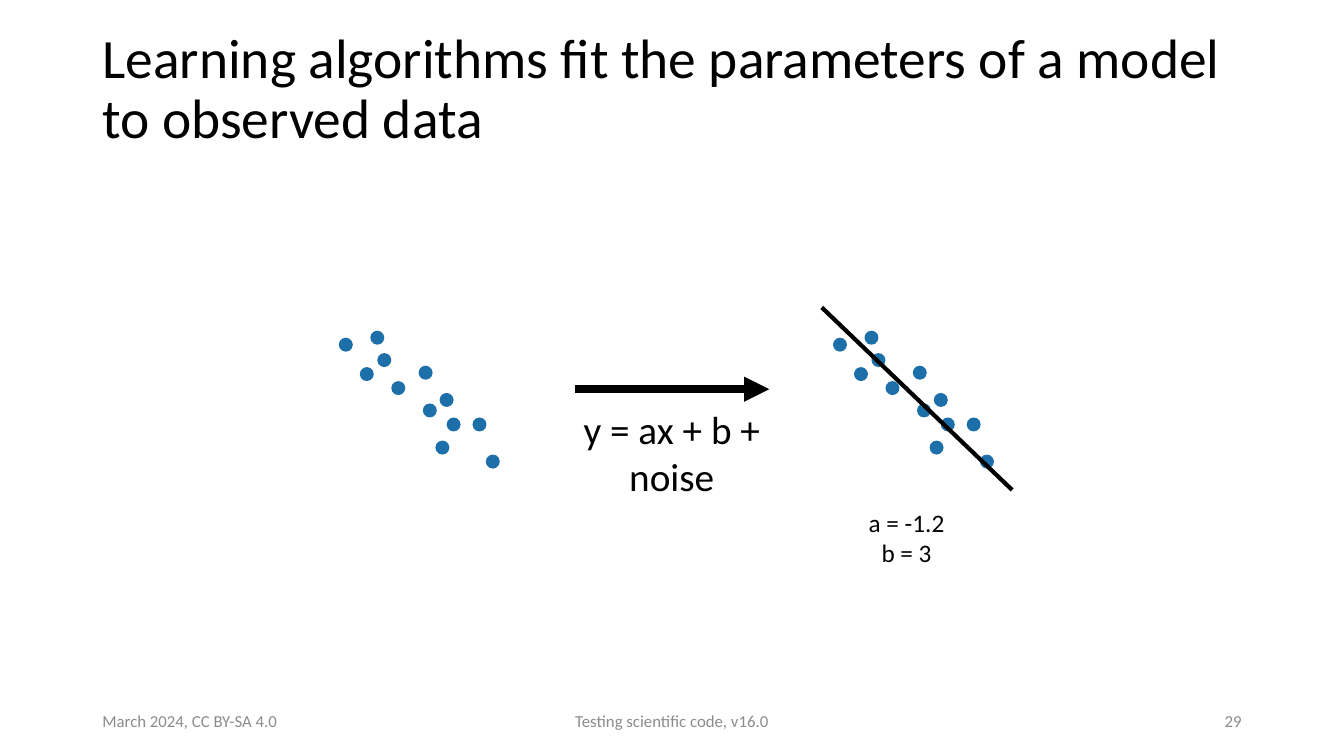
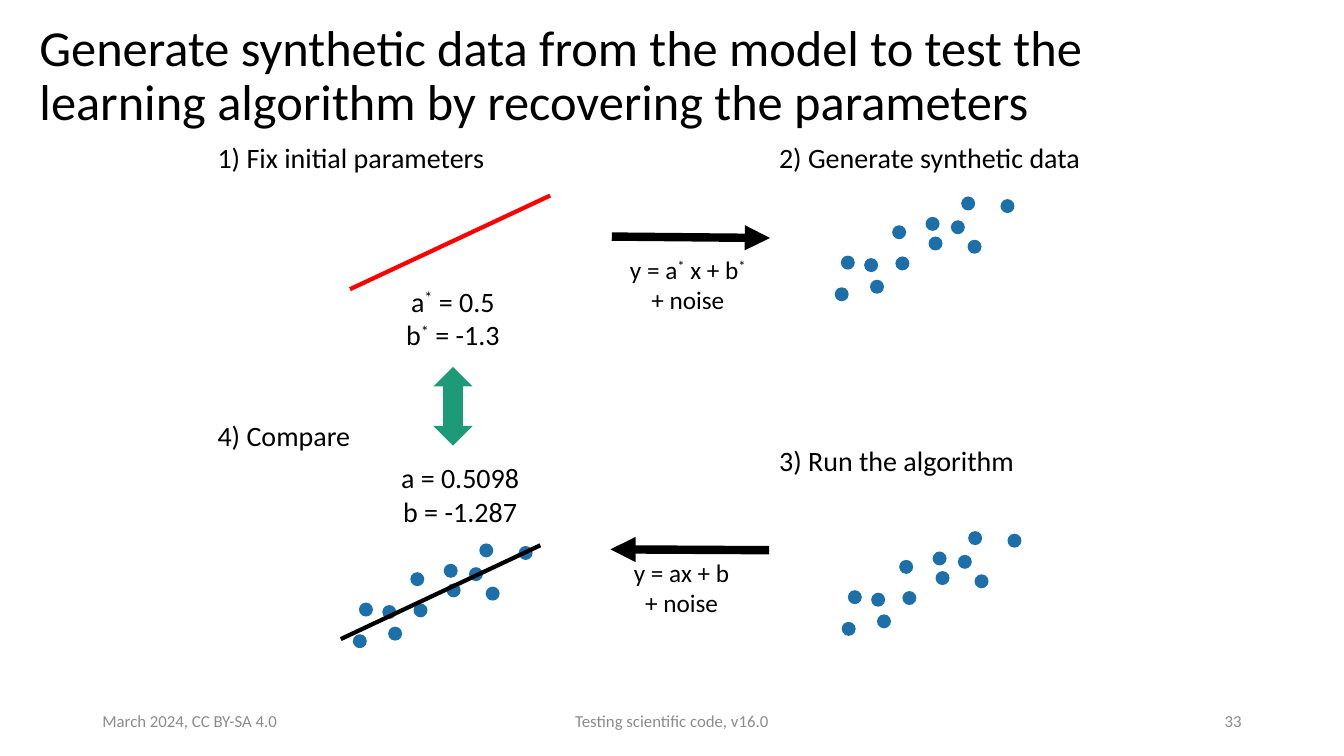
"""Build two slides on fitting a model and testing the fit with synthetic data."""
from math import cos, radians, sin

from lxml import etree
from pptx import Presentation
from pptx.dml.color import RGBColor
from pptx.enum import shapes, text
from pptx.oxml import ns
from pptx.util import Pt

BLACK, GREY, RED = "000000", "8C8C8C", "FF0000"
BLUE, GREEN = "1D6FA9", "1D9A78"
FONT = "Calibri"
LEFT, CENTER, RIGHT = text.PP_ALIGN.LEFT, text.PP_ALIGN.CENTER, text.PP_ALIGN.RIGHT
TOP, MIDDLE = text.MSO_ANCHOR.TOP, text.MSO_ANCHOR.MIDDLE

DOT_SIZE = 10
DOTS = [(0, 0), (22.5, -5), (27.5, 11), (15, 21), (37.5, 31), (57, 20),
        (60, 47), (72, 39.5), (77, 57), (95.5, 57), (69, 73.5), (105, 83.5)]
FOOTER_TOP, FOOTER_HEIGHT = 500.5, 28.8

SLIDES = [
    dict(
        number="29",
        title="Learning algorithms fit the parameters of a model to observed data",
        title_box=(66, 28.8, 828, 71.3), title_size=39.6,
        clouds=[(242, 241.2), (595, 241.2)], tilt=0,
        lines=[(587, 219.6, 723, 350, BLACK, 3),
               (411, 278, 549.5, 278, BLACK, 6)],
        labels=[("y = ax + b + noise", (406, 286, 147.6, 75), 28, CENTER),
                ("a = -1.2\nb = 3", (586, 358.5, 123, 65.5), 18, CENTER)],
        compare_arrows=[],
    ),
    dict(
        number="33",
        title="Generate synthetic data from the model to test the "
              "learning algorithm by recovering the parameters",
        title_box=(21, 19.4, 860, 71.3), title_size=36,
        clouds=[(252, 453), (601.2, 444.2), (596.2, 205.2)], tilt=-66.5,
        lines=[(250, 206.6, 393, 139.7, RED, 3),
               (243.4, 456.5, 386, 389.5, BLACK, 3),
               (437, 169, 550, 170, BLACK, 6),
               (549.4, 393, 436, 392.4, BLACK, 6)],
        labels=[("a* = 0.5\nb* = -1.3", (262, 199.4, 123, 55.5), 20, CENTER),
                ("a = 0.5098\nb = -1.287", (261.4, 325.4, 134.6, 55.5), 20, CENTER),
                ("y = a* x + b*\v+ noise", (410, 177.8, 162.7, 65.5), 18, CENTER),
                ("y = ax + b\v+ noise", (405.5, 394.6, 162.7, 65.5), 18, CENTER),
                ("1) Fix initial parameters", (148.3, 96.5, 216.7, 31.7), 20, LEFT),
                ("2) Generate synthetic data", (549.4, 96.5, 247.7, 31.7), 20, LEFT),
                ("3) Run the algorithm", (549.4, 313.2, 193.7, 31.7), 20, LEFT),
                ("4) Compare", (148.3, 295.2, 130.3, 31.7), 20, LEFT)],
        compare_arrows=[(309.6, 262, 28, 56.2)],
    ),
]


def write(frame, content, size, color=BLACK, align=LEFT, anchor=TOP, spacing=1.0):
    """Fill a frame: newline parts paragraphs, \\v breaks lines, * is raised."""
    frame.word_wrap = True
    frame.auto_size = text.MSO_AUTO_SIZE.NONE
    frame.vertical_anchor = anchor
    for index, paragraph_text in enumerate(content.split("\n")):
        paragraph = frame.paragraphs[0] if index == 0 else frame.add_paragraph()
        paragraph.alignment = align
        paragraph.line_spacing = spacing
        for row, line_text in enumerate(paragraph_text.split("\v")):
            if row:
                paragraph.add_line_break()
            for part in line_text.replace("*", "|*|").split("|"):
                if not part:
                    continue
                run = paragraph.add_run()
                run.text = part
                run.font.name = FONT
                run.font.size = Pt(size)
                run.font.color.rgb = RGBColor.from_string(color)
                if part == "*":
                    run._r.get_or_add_rPr().set("baseline", "30000")


def add_filled(parent, kind, box, color):
    """Add a preset shape with a plain fill and no outline."""
    shape = parent.add_shape(kind, *map(Pt, box))
    shape.shadow.inherit = False
    shape.fill.solid()
    shape.fill.fore_color.rgb = RGBColor.from_string(color)
    shape.line.fill.background()


deck = Presentation()
deck.slide_width, deck.slide_height = Pt(960), Pt(540)

for content in SLIDES:
    slide = deck.slides.add_slide(deck.slide_layouts[5])
    title = slide.shapes.title
    title.left, title.top, title.width, title.height = map(Pt, content["title_box"])
    write(title.text_frame, content["title"], content["title_size"],
          anchor=MIDDLE, spacing=0.9)

    for left, width, footer, align in [
        (66, 216, "March 2024, CC BY-SA 4.0", LEFT),
        (318, 324, "Testing scientific code, v16.0", CENTER),
        (678, 216, content["number"], RIGHT),
    ]:
        box = slide.shapes.add_textbox(*map(Pt, (left, FOOTER_TOP, width, FOOTER_HEIGHT)))
        write(box.text_frame, footer, 12, GREY, align, MIDDLE)

    turn = radians(content["tilt"])
    for left, top in content["clouds"]:
        cloud = slide.shapes.add_group_shape()
        for x, y in DOTS:
            dot_left = left + x * cos(turn) - y * sin(turn)
            dot_top = top + x * sin(turn) + y * cos(turn)
            add_filled(cloud.shapes, shapes.MSO_SHAPE.OVAL,
                       (dot_left, dot_top, DOT_SIZE, DOT_SIZE), BLUE)

    for *ends, color, width in content["lines"]:
        line = slide.shapes.add_connector(shapes.MSO_CONNECTOR.STRAIGHT, *map(Pt, ends))
        line.line.color.rgb = RGBColor.from_string(color)
        line.line.width = Pt(width)
        if width == 6:
            etree.SubElement(line.line._get_or_add_ln(), ns.qn("a:tailEnd"), type="triangle")
        etree.SubElement(line._element.spPr, ns.qn("a:effectLst"))

    for label, place, size, align in content["labels"]:
        box = slide.shapes.add_textbox(*map(Pt, place))
        write(box.text_frame, label, size, align=align)

    for place in content["compare_arrows"]:
        add_filled(slide.shapes, shapes.MSO_SHAPE.UP_DOWN_ARROW, place, GREEN)

deck.save("out.pptx")
